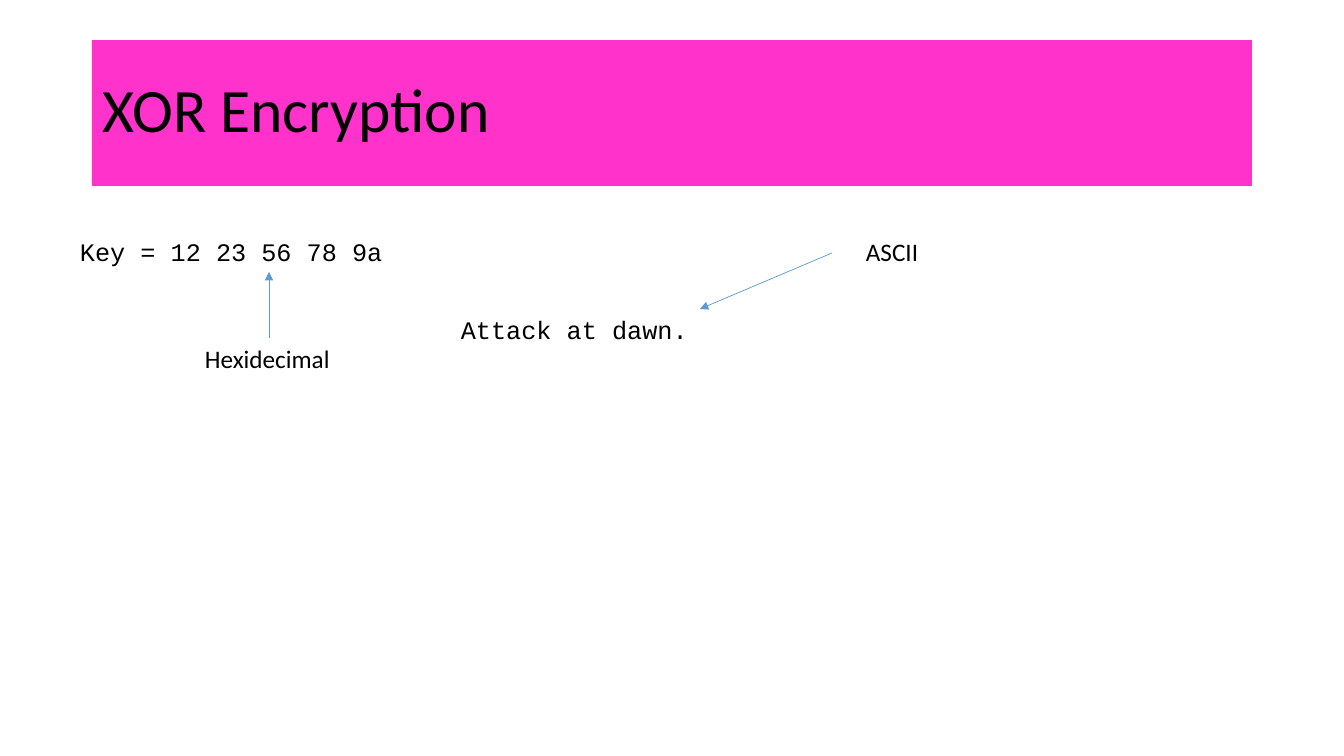
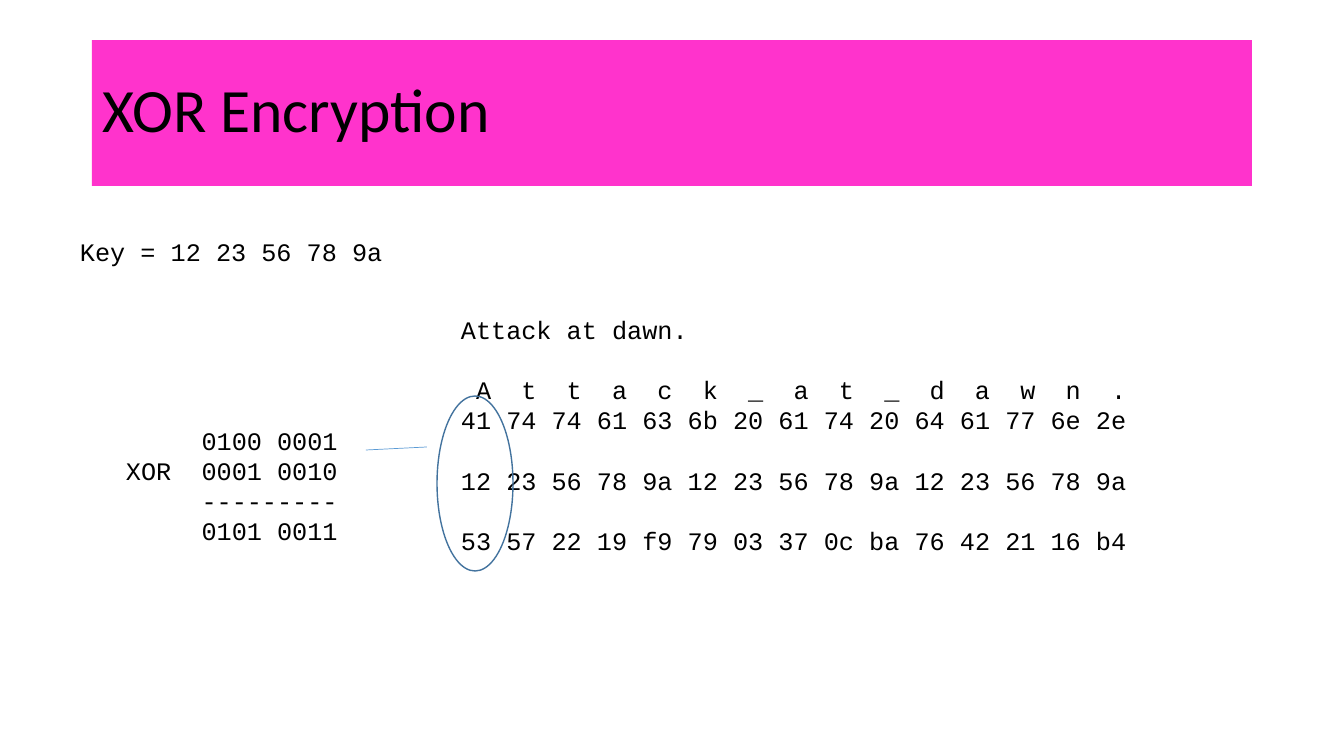
from lxml import etree
from pptx import Presentation
from pptx import util as u
from pptx.dml.color import RGBColor
from pptx.enum import shapes, text
from pptx.oxml import ns

COLORS = {"band": "FF33CC", "ink": "000000", "arrow": "5B9BD5", "ring": "43739E"}
MONO, SANS = "Courier New", "Calibri"
CHAR = 10.8
LINE = 21.6
TITLE = "XOR Encryption"
TITLE_AT = (92, 40, 1160, 146)
MESSAGE = "Attack at dawn."
LETTERS = "Attack_at_dawn."

KEY_LABEL = {"at": (70, 231, 325, 40), "font": MONO, "lines": [("Key = 12 23 56 78 9a", 0)]}
LETTER_STOPS = [1 + 3 * column for column in range(len(LETTERS))]
SUM_STOPS = [5]

SLIDES = [
    {
        "labels": [
            {"at": (451, 309, 250, 72), "font": MONO, "lines": [(MESSAGE, 0)]},
            KEY_LABEL,
            {"at": (195, 338, 148, 72), "font": SANS, "lines": [("Hexidecimal", 0)]},
            {"at": (856, 231, 74, 40), "font": SANS, "lines": [("ASCII", 0)]},
        ],
        "rings": [],
        "links": [(269, 338, 269, 272, True), (832, 253, 700, 309, True)],
    },
    {
        "labels": [
            {"at": (451, 309, 705, 316), "font": MONO, "stops": LETTER_STOPS, "lines": [
                (MESSAGE, 0),
                ("".join("\t" + letter for letter in LETTERS), 1),
                ("41 74 74 61 63 6b 20 61 74 20 64 61 77 6e 2e", 0),
                ("12 23 56 78 9a 12 23 56 78 9a 12 23 56 78 9a", 1),
                ("53 57 22 19 f9 79 03 37 0c ba 76 42 21 16 b4", 1),
            ]},
            KEY_LABEL,
            {"at": (116, 420, 233, 132), "font": MONO, "stops": SUM_STOPS, "lines": [
                ("\t0100 0001", 0),
                ("XOR\t0001 0010", 0),
                ("\t---------", 0),
                ("\t0101 0011", 0),
            ]},
        ],
        "rings": [(437, 396, 76, 175)],
        "links": [(366, 450, 427, 447, False)],
    },
]


def px(value):
    return round(value * 914400 / 100.8)


def color(name):
    return RGBColor.from_string(COLORS[name])


def apply(target, values):
    for name, value in values.items():
        setattr(target, name, value)


def style_font(font, face, size):
    apply(font, {"name": face, "size": u.Pt(size)})
    font.color.rgb = color("ink")


def add_title(page):
    band = page.shapes.title
    apply(band, dict(zip(("left", "top", "width", "height"), map(px, TITLE_AT))))
    band.fill.solid()
    band.fill.fore_color.rgb = color("band")
    frame = band.text_frame
    frame.text = TITLE
    apply(frame, {"vertical_anchor": text.MSO_ANCHOR.MIDDLE,
                  "auto_size": text.MSO_AUTO_SIZE.NONE, "word_wrap": True})
    para = frame.paragraphs[0]
    apply(para, {"alignment": text.PP_ALIGN.LEFT, "line_spacing": 0.9})
    style_font(para.runs[0].font, SANS, 44)


def add_tab_stops(para, stops):
    tabs = etree.SubElement(para._p.get_or_add_pPr(), ns.qn("a:tabLst"))
    for stop in stops:
        etree.SubElement(tabs, ns.qn("a:tab"), pos=str(u.Pt(stop * CHAR)), algn="l")


def add_label(page, label):
    frame = page.shapes.add_textbox(*map(px, label["at"])).text_frame
    frame.word_wrap = True
    for index, (line, gap) in enumerate(label["lines"]):
        para = frame.add_paragraph() if index else frame.paragraphs[0]
        span = para.add_run()
        span.text = line
        style_font(span.font, label["font"], 18)
        para.space_before = u.Pt(gap * LINE)
        if "\t" in line:
            add_tab_stops(para, label["stops"])


def add_ring(page, at):
    ring = page.shapes.add_shape(shapes.MSO_SHAPE.OVAL, *map(px, at))
    ring.shadow.inherit = False
    ring.fill.background()
    ring.line.color.rgb = color("ring")
    ring.line.width = u.Pt(1)


def add_link(page, link):
    *ends, arrow = link
    line = page.shapes.add_connector(shapes.MSO_CONNECTOR.STRAIGHT, *map(px, ends))
    line.line.color.rgb = color("arrow")
    line.line.width = u.Pt(0.5)
    properties = line._element.spPr
    if arrow:
        etree.SubElement(properties.find(ns.qn("a:ln")), ns.qn("a:tailEnd"), type="triangle")
    etree.SubElement(properties, ns.qn("a:effectLst"))


deck = Presentation()
apply(deck, {"slide_width": px(1344), "slide_height": px(756)})
for content in SLIDES:
    page = deck.slides.add_slide(deck.slide_layouts.get_by_name("Title Only"))
    add_title(page)
    for label in content["labels"]:
        add_label(page, label)
    for ring in content["rings"]:
        add_ring(page, ring)
    for link in content["links"]:
        add_link(page, link)
deck.save("out.pptx")
